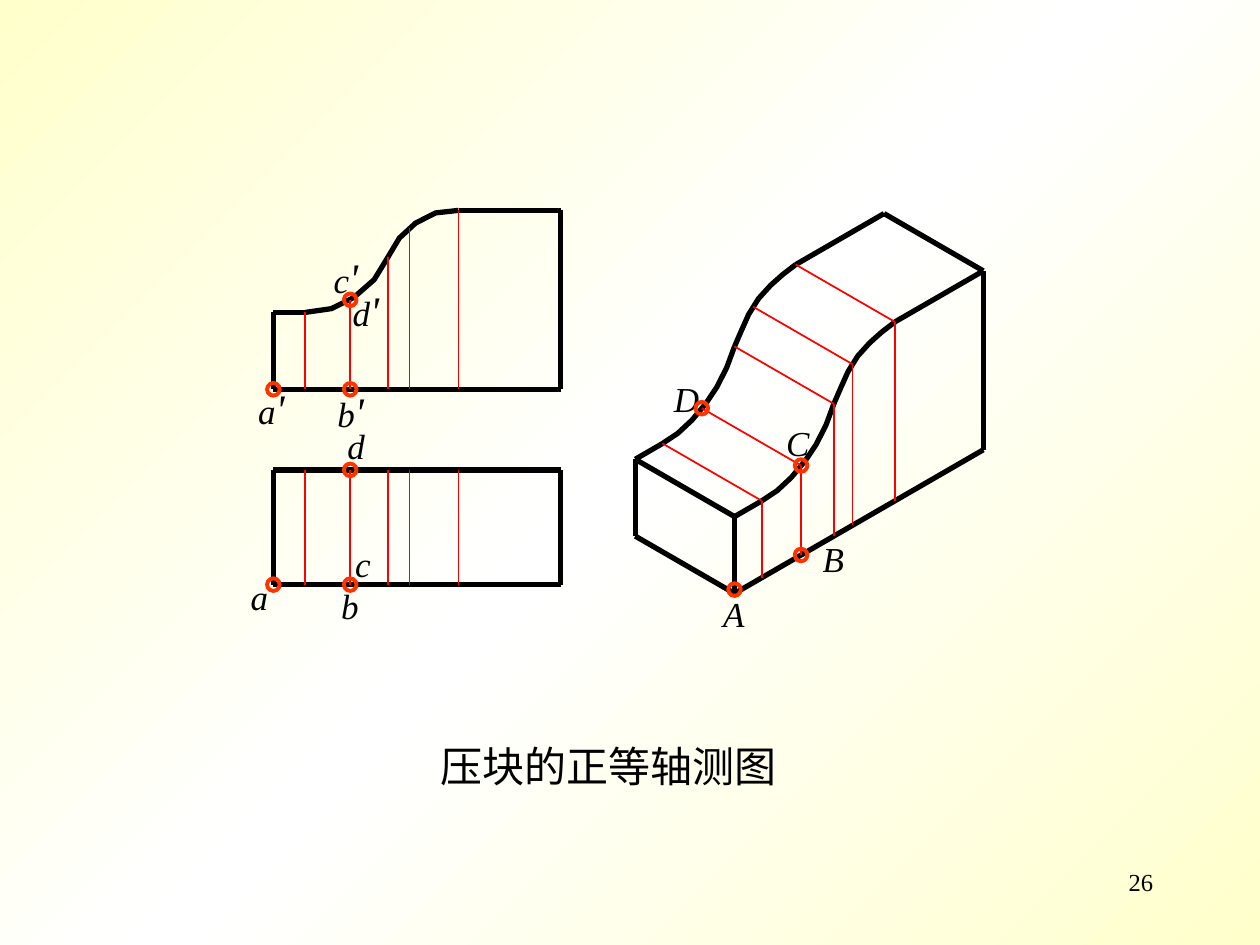
import copy
import itertools
import math

import pptx
import pptx.dml.color
import pptx.enum.shapes
import pptx.enum.text
import pptx.oxml
import pptx.oxml.ns
import pptx.util

BLACK, RED, ORANGE = "000000", "FF0000", "FF3300"
CREAM, WHITE = "FFFFCC", "FFFFFF"

# Block dimensions, in grid cells
LENGTH, DEPTH, LOW, HIGH = 2.28, 0.91, 0.61, 1.42
TURN = (0.91, 1.05)
BENDS = [0, 0.25, 0.91, 1.47, LENGTH]
SECTIONS = [(0.25, LOW), (0.61, 0.71), TURN, (1.08, 1.28), (1.47, HIGH)]
MARKED = SECTIONS[1]

# Curves as (distance from the left end, height)
FRONT_ARCS = [
    [(0.25, LOW), (0.46, 0.64), (0.64, 0.73), (0.8, 0.87), TURN],
    [TURN, (1, 1.2), (1.13, 1.32), (1.29, 1.4), (1.47, HIGH)],
]
ISOMETRIC_ARCS = [
    [(0.25, LOW), (0.39, 0.62), (0.52, 0.66), (0.65, 0.73), (0.75, 0.81),
     (0.84, 0.92), TURN],
    [TURN, (0.97, 1.14), (1.04, 1.24), (1.13, 1.32), (1.24, 1.37),
     (1.35, 1.4), (1.47, HIGH)],
]


def color(hex_string):
    return pptx.dml.color.RGBColor.from_string(hex_string)


def front(x, z):
    return 2.17 + x, 3.09 - z


def plan(x, depth):
    return 2.17 + x, 4.64 - depth


def isometric(x, z, depth=0):
    cos, sin = math.cos(math.pi / 6), math.sin(math.pi / 6)
    return 5.83 + (x - depth) * cos, 4.71 - (x + depth) * sin - z


class Drawing:
    """Style and current slide; lengths are cells of a 10 by 7.5 grid."""

    font = "Times New Roman"
    columns = 10
    label_size, prime_size = 20, 24

    def __init__(self, presentation):
        self.cell = presentation.slide_width / self.columns
        self.slide = presentation.slides.add_slide(presentation.slide_layouts[5])
        self.shapes = self.slide.shapes

    def lengths(self, *cells):
        return [round(value * self.cell) for value in cells]

    def start_group(self):
        self.shapes = self.slide.shapes.add_group_shape().shapes

    def background(self, edge, middle):
        fill = self.slide.background.fill
        fill.gradient()
        fill.gradient_angle = 315
        stop_list = self.slide.element.find(".//" + pptx.oxml.ns.qn("a:gsLst"))
        stop_list.insert(1, copy.deepcopy(stop_list[0]))
        for stop, position, tone in zip(
                fill.gradient_stops, (0, 0.5, 1), (edge, middle, edge)):
            stop.position = position
            stop.color.rgb = color(tone)

    def stroke(self, shape, tone, width):
        shape.line.color.rgb = color(tone)
        shape.line.width = pptx.util.Pt(width)

    def line(self, start, end, tone=BLACK, width=3):
        connector = self.shapes.add_connector(
            pptx.enum.shapes.MSO_CONNECTOR.STRAIGHT, *self.lengths(*start, *end))
        self.stroke(connector, tone, width)
        connector._element.spPr.append(pptx.oxml.parse_xml(
            "<a:effectLst %s/>" % pptx.oxml.ns.nsdecls("a")))

    def section(self, start, end):
        self.line(start, end, RED, 1)

    def curve(self, points):
        first, *rest = [self.lengths(*point) for point in points]
        builder = self.shapes.build_freeform(*first)
        builder.add_line_segments(rest, close=False)
        arc = builder.convert_to_shape()
        arc.fill.background()
        arc.shadow.inherit = False
        self.stroke(arc, BLACK, 3)

    def marker(self, center, size=0.1):
        x, y = center
        ring = self.shapes.add_shape(
            pptx.enum.shapes.MSO_SHAPE.OVAL,
            *self.lengths(x - size / 2, y - size / 2, size, size))
        ring.fill.background()
        ring.shadow.inherit = False
        self.stroke(ring, ORANGE, 2.25)

    def format_run(self, run, size, italic=False):
        run.font.name = self.font
        run.font.size = pptx.util.Pt(size)
        run.font.italic = italic
        run.font.color.rgb = color(BLACK)

    def label(self, letter, left, top, prime=False):
        box = self.shapes.add_textbox(
            *self.lengths(left, top, 0.5, 0.5 if prime else 0.44))
        box.text_frame.word_wrap = True
        paragraph = box.text_frame.paragraphs[0]
        paragraph.text = letter
        self.format_run(paragraph.runs[0], self.label_size, True)
        if prime:
            mark = paragraph.add_run()
            mark.text = "'"
            self.format_run(mark, self.prime_size, True)

    def text(self, box, words, area, size, align):
        box.left, box.top, box.width, box.height = self.lengths(*area)
        frame = box.text_frame
        frame.text = words
        frame.word_wrap = True
        frame.auto_size = pptx.enum.text.MSO_AUTO_SIZE.NONE
        frame.vertical_anchor = pptx.enum.text.MSO_ANCHOR.TOP
        frame.paragraphs[0].alignment = align
        self.format_run(frame.paragraphs[0].runs[0], size)

    def title(self, words, area):
        self.text(self.slide.shapes.title, words, area, 24,
                  pptx.enum.text.PP_ALIGN.CENTER)

    def page_number(self, number, area):
        box = self.slide.shapes.add_textbox(0, 0, 0, 0)
        self.text(box, number, area, 14, pptx.enum.text.PP_ALIGN.RIGHT)


def draw_outlines(drawing):
    drawing.start_group()

    # Front view
    for start, end in [((0, 0), (0, LOW)), ((0, LOW), (0.25, LOW)),
                       ((1.47, HIGH), (LENGTH, HIGH)),
                       ((LENGTH, HIGH), (LENGTH, 0)), ((LENGTH, 0), (0, 0))]:
        drawing.line(front(*start), front(*end))
    for arc in FRONT_ARCS:
        drawing.curve([front(*point) for point in arc])

    # Plan view
    for x in (0, LENGTH):
        drawing.line(plan(x, 0), plan(x, DEPTH))
    for depth, (left, right) in itertools.product(
            (0, DEPTH), itertools.pairwise(BENDS)):
        drawing.line(plan(left, depth), plan(right, depth))

    # Isometric view: near and far profiles, then the edges between them
    for depth in (0, DEPTH):
        drawing.line(isometric(0, 0, depth), isometric(0, LOW, depth))
        drawing.line(isometric(0, LOW, depth), isometric(0.25, LOW, depth))
        for arc in ISOMETRIC_ARCS:
            drawing.curve([isometric(*point, depth) for point in arc])
        drawing.line(isometric(1.47, HIGH, depth), isometric(LENGTH, HIGH, depth))
    for x, z in [(0, 0), (0, LOW), (LENGTH, HIGH)]:
        drawing.line(isometric(x, z), isometric(x, z, DEPTH))
    drawing.line(isometric(LENGTH, HIGH), isometric(LENGTH, 0))
    drawing.line(isometric(LENGTH, 0), isometric(0, 0))


def draw_isometric_sections(drawing):
    drawing.start_group()
    for x, z in SECTIONS:
        drawing.section(isometric(x, z), isometric(x, z, DEPTH))
        drawing.section(isometric(x, z), isometric(x, 0))
    for label in [("B", 6.43, 4.22), ("D", 5.25, 2.95),
                  ("C", 6.14, 3.3), ("A", 5.64, 4.65)]:
        drawing.label(*label)
    for point in [(0, 0.03), (MARKED[0], 0), MARKED, (*MARKED, DEPTH)]:
        drawing.marker(isometric(*point))


def draw_view_sections(drawing):
    drawing.start_group()
    for x, z in SECTIONS:
        drawing.section(front(x, z), front(x, 0))
        drawing.section(plan(x, DEPTH), plan(x, 0))
    for label in [("d", 2.7, 2.21, True), ("b", 2.61, 4.59), ("a", 1.89, 4.52),
                  ("a", 1.95, 2.99, True), ("b", 2.58, 3.01, True),
                  ("c", 2.55, 1.95, True), ("c", 2.72, 4.26), ("d", 2.66, 3.32)]:
        drawing.label(*label)
    for point in [(0, 0), (MARKED[0], 0), MARKED]:
        drawing.marker(front(*point))
    for point in [(0, 0), (MARKED[0], 0), (MARKED[0], DEPTH)]:
        drawing.marker(plan(*point))


def main():
    presentation = pptx.Presentation()
    presentation.slide_width = pptx.util.Inches(10)
    presentation.slide_height = pptx.util.Inches(7.5)
    drawing = Drawing(presentation)
    drawing.background(CREAM, WHITE)
    drawing.title("压块的正等轴测图", (3.33, 5.83, 3, 0.5))
    drawing.page_number("26", (7.17, 6.83, 2.08, 0.5))
    draw_outlines(drawing)
    draw_isometric_sections(drawing)
    draw_view_sections(drawing)
    presentation.save("out.pptx")


if __name__ == "__main__":
    main()
